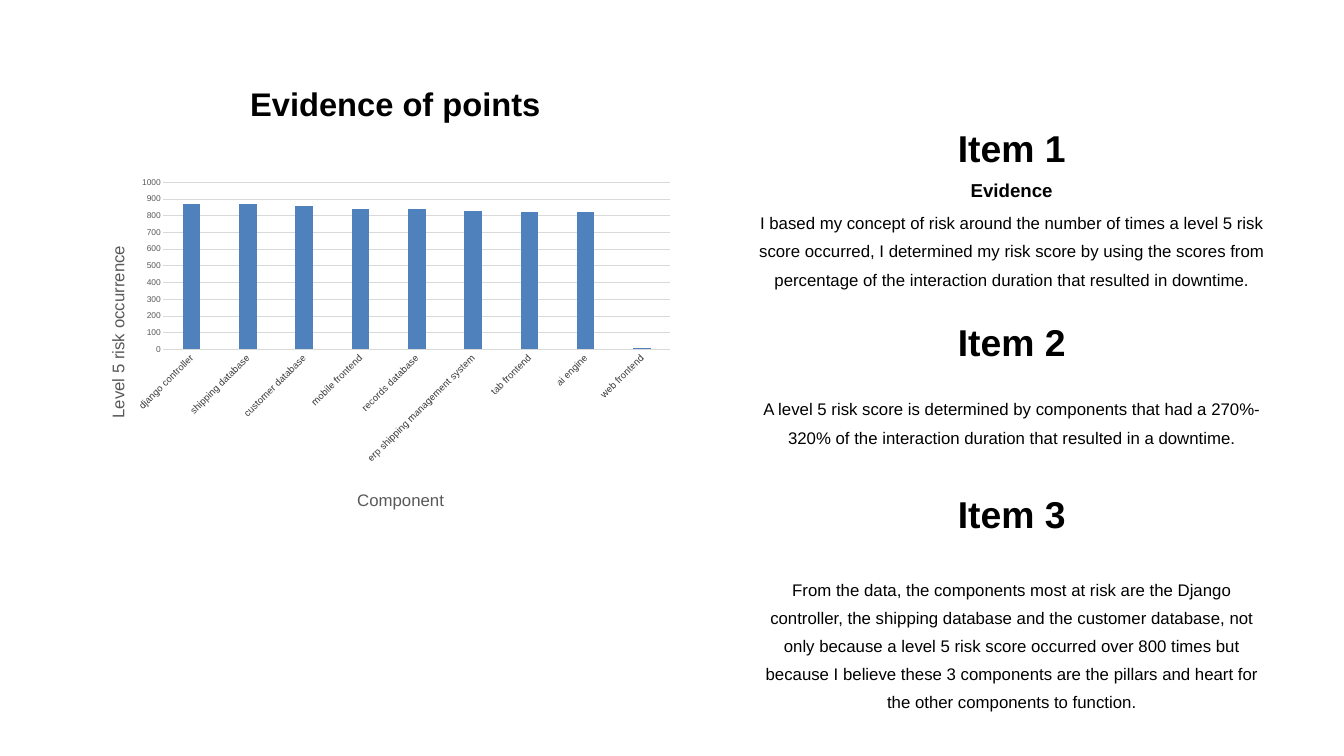
from lxml.etree import SubElement
from pptx import Presentation
from pptx.chart.data import CategoryChartData
from pptx.dml.color import RGBColor
from pptx.enum.chart import XL_CHART_TYPE as ChartType, XL_TICK_MARK as TickMark
from pptx.enum.text import PP_ALIGN as Align
from pptx.oxml.ns import qn
from pptx.util import Inches, Pt

BLACK = RGBColor(0x00, 0x00, 0x00)
WHITE = RGBColor(0xFF, 0xFF, 0xFF)
GREY = RGBColor(0x59, 0x59, 0x59)
GRID_GREY = RGBColor(0xD9, 0xD9, 0xD9)
BAR_BLUE = RGBColor(0x4F, 0x81, 0xBD)
FONT = "Arial"
ITEM_LEFT, ITEM_WIDTH = 11.24, 7.63

RISK_COUNTS = {
    "django controller": 870,
    "shipping database": 870,
    "customer database": 860,
    "mobile frontend": 840,
    "records database": 840,
    "erp shipping management system": 830,
    "tab frontend": 820,
    "ai engine": 820,
    "web frontend": 10,
}

ITEMS = [
    ("Item 1", 1.73, 0.66, 3.05, 1.7,
     "I based my concept of risk around the number of times a level 5 risk score occurred, "
     "I determined my risk score by using the scores from percentage of the interaction "
     "duration that resulted in downtime."),
    ("Item 2", 4.62, 0.6, 5.82, 1.15,
     "A level 5 risk score is determined by components that had a 270%-320% of the "
     "interaction duration that resulted in a downtime."),
    ("Item 3", 7.17, 0.67, 8.5, 2.14,
     "From the data, the components most at risk are the Django controller, the shipping "
     "database and the customer database, not only because a level 5 risk score occurred "
     "over 800 times but because I believe these 3 components are the pillars and heart for "
     "the other components to function."),
]


def style_font(font, size, color, bold=False):
    font.name = FONT
    font.size = Pt(size)
    font.bold = bold
    font.color.rgb = color


def add_text(slide, text, left, top, width, height, size, spacing, bold=False):
    box = slide.shapes.add_textbox(Inches(left), Inches(top), Inches(width), Inches(height))
    frame = box.text_frame
    frame.word_wrap = True
    frame.margin_left = frame.margin_top = frame.margin_right = frame.margin_bottom = 0
    paragraph = frame.paragraphs[0]
    paragraph.text = text
    paragraph.alignment = Align.CENTER
    paragraph.line_spacing = spacing
    style_font(paragraph.font, size, BLACK, bold)


def set_layout(element, index, **settings):
    layout = element.find(qn("c:layout"))
    if layout is None:
        layout = SubElement(element, qn("c:layout"))
        element.insert(index, layout)
    manual = SubElement(layout, qn("c:manualLayout"))
    for name, value in settings.items():
        SubElement(manual, qn(f"c:{name}")).set("val", str(value))


def style_axis(axis, title, label_size, x, y):
    axis.major_tick_mark = axis.minor_tick_mark = TickMark.NONE
    style_font(axis.tick_labels.font, label_size, GREY)
    frame = axis.axis_title.text_frame
    frame.text = title
    style_font(frame.paragraphs[0].font, 18, GREY)
    set_layout(axis.axis_title._element, 1, xMode="edge", yMode="edge", x=x, y=y)
    return frame


def style_line(line):
    line.color.rgb = GRID_GREY
    line.width = Pt(0.75)


def add_risk_chart(slide):
    data = CategoryChartData()
    data.categories = list(RISK_COUNTS)
    data.add_series("Series 1", list(RISK_COUNTS.values()))
    chart = slide.shapes.add_chart(
        ChartType.COLUMN_CLUSTERED, Inches(1.28), Inches(2.56), Inches(8.87), Inches(5.1), data
    ).chart
    chart.has_legend = False
    chart.has_title = False
    style_font(chart.font, 10, BLACK)

    plot = chart.plots[0]
    plot.gap_width = 219
    plot.overlap = -27
    plot.vary_by_categories = False
    fill = plot.series[0].format.fill
    fill.solid()
    fill.fore_color.rgb = BAR_BLUE
    set_layout(chart._chartSpace.find(".//" + qn("c:plotArea")), 0, layoutTarget="inner",
               xMode="edge", yMode="edge", x=0.13, y=0.03, w=0.85, h=0.49)

    category_axis, value_axis = chart.category_axis, chart.value_axis
    style_axis(category_axis, "Component", 10.5, 0.45, 0.92)
    style_line(category_axis.format.line)
    category_axis._element.find(qn("c:txPr")).find(qn("a:bodyPr")).set("rot", "-2700000")

    title = style_axis(value_axis, "Level 5 risk occurrence", 9, 0.03, 0.21)
    title._txBody.find(qn("a:bodyPr")).set("rot", "-5400000")
    value_axis.minimum_scale, value_axis.maximum_scale = 0, 1000
    value_axis.major_unit = 100
    value_axis.format.line.fill.background()
    style_line(value_axis.major_gridlines.format.line)


def add_item(slide, heading, heading_top, heading_height, body_top, body_height, body):
    add_text(slide, heading, ITEM_LEFT, heading_top, ITEM_WIDTH, heading_height, 40, 1.2, True)
    add_text(slide, body, ITEM_LEFT, body_top, ITEM_WIDTH, body_height, 18, 1.4)


def main():
    """Build the evidence slide with its risk chart and three items."""
    presentation = Presentation()
    presentation.slide_width = Inches(20)
    presentation.slide_height = Inches(11.25)
    slide = presentation.slides.add_slide(presentation.slide_layouts[6])
    slide.background.fill.solid()
    slide.background.fill.fore_color.rgb = WHITE

    add_text(slide, "Evidence of points", 1.63, 1.08, 8.51, 0.62, 35, 1.3, True)
    add_text(slide, "Evidence", ITEM_LEFT, 2.56, ITEM_WIDTH, 0.35, 20, 1.3, True)
    for item in ITEMS:
        add_item(slide, *item)
    add_risk_chart(slide)
    presentation.save("out.pptx")


if __name__ == "__main__":
    main()
